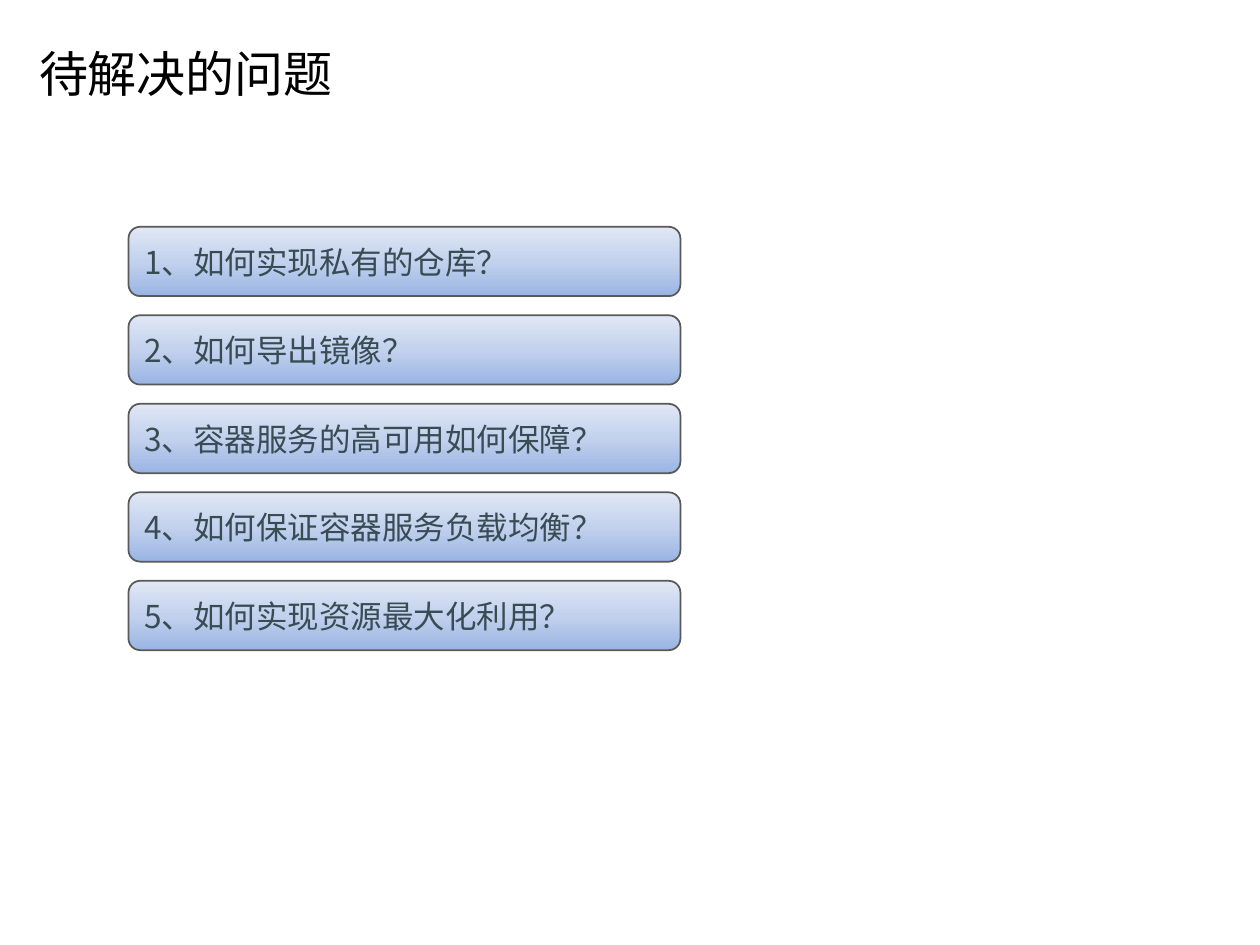
from copy import deepcopy

from lxml import etree
from pptx import Presentation
from pptx.dml.color import RGBColor
from pptx.enum.lang import MSO_LANGUAGE_ID
from pptx.enum.shapes import MSO_SHAPE
from pptx.enum.text import MSO_ANCHOR, PP_ALIGN
from pptx.oxml.ns import qn
from pptx.util import Inches, Pt

ROUNDED = MSO_SHAPE.ROUNDED_RECTANGLE
MIDDLE = MSO_ANCHOR.MIDDLE
LEFT = PP_ALIGN.LEFT
CHINESE = MSO_LANGUAGE_ID.SIMPLIFIED_CHINESE
TITLE_ONLY = 5

TITLE = "待解决的问题"
QUESTIONS = [
    "1、如何实现私有的仓库？",
    "2、如何导出镜像？",
    "3、容器服务的高可用如何保障？",
    "4、如何保证容器服务负载均衡？",
    "5、如何实现资源最大化利用？",
]
GRADIENT = [(0, "9AB5E4"), (0.5, "C2D1ED"), (1, "E1E8F5")]
CHINESE_FONT = "Noto Sans CJK SC"

BOX_LEFT, BOX_TOP = 1.02, 1.8
BOX_WIDTH, BOX_HEIGHT = 4.38, 0.55
BOX_STEP = 0.7025


def color(value):
    return RGBColor.from_string(value)


def write(shape, text, size, font, ink):
    frame = shape.text_frame
    frame.word_wrap = True
    frame.vertical_anchor = MIDDLE
    para = frame.paragraphs[0]
    para.alignment = LEFT
    span = para.add_run()
    span.text = text
    span.font.size = Pt(size)
    span.font.name = font
    span.font.color.rgb = color(ink)
    span.font.language_id = CHINESE
    east_asian = etree.Element(qn("a:ea"), typeface=CHINESE_FONT)
    span.font._element.find(qn("a:latin")).addnext(east_asian)


def fill_gradient(shape):
    """Fill with the three-stop gradient, darkest at the bottom."""
    fill = shape.fill
    fill.gradient()
    fill.gradient_angle = 90
    stop_list = shape._element.spPr.find(".//" + qn("a:gsLst"))
    stop_list.append(deepcopy(stop_list[0]))
    for stop, (position, value) in zip(fill.gradient_stops, GRADIENT):
        stop.position = position
        stop.color.rgb = color(value)


def add_question(page, index, text):
    box = page.shapes.add_shape(
        ROUNDED, Inches(BOX_LEFT), Inches(BOX_TOP + index * BOX_STEP),
        Inches(BOX_WIDTH), Inches(BOX_HEIGHT))
    box.shadow.inherit = False
    fill_gradient(box)
    box.line.color.rgb = color("595959")
    box.line.width = Pt(1)
    write(box, text, 18, CHINESE_FONT, "384C54")


def main():
    deck = Presentation()
    deck.slide_width, deck.slide_height = Inches(10), Inches(7.5)
    page = deck.slides.add_slide(deck.slide_layouts[TITLE_ONLY])

    title = page.shapes.title
    title.left, title.top = Inches(0.21), Inches(0.23)
    title.width, title.height = Inches(6.97), Inches(0.7)
    write(title, TITLE, 28, "DejaVu Sans Mono", "000000")

    for index, text in enumerate(QUESTIONS):
        add_question(page, index, text)
    deck.save("out.pptx")


if __name__ == "__main__":
    main()
